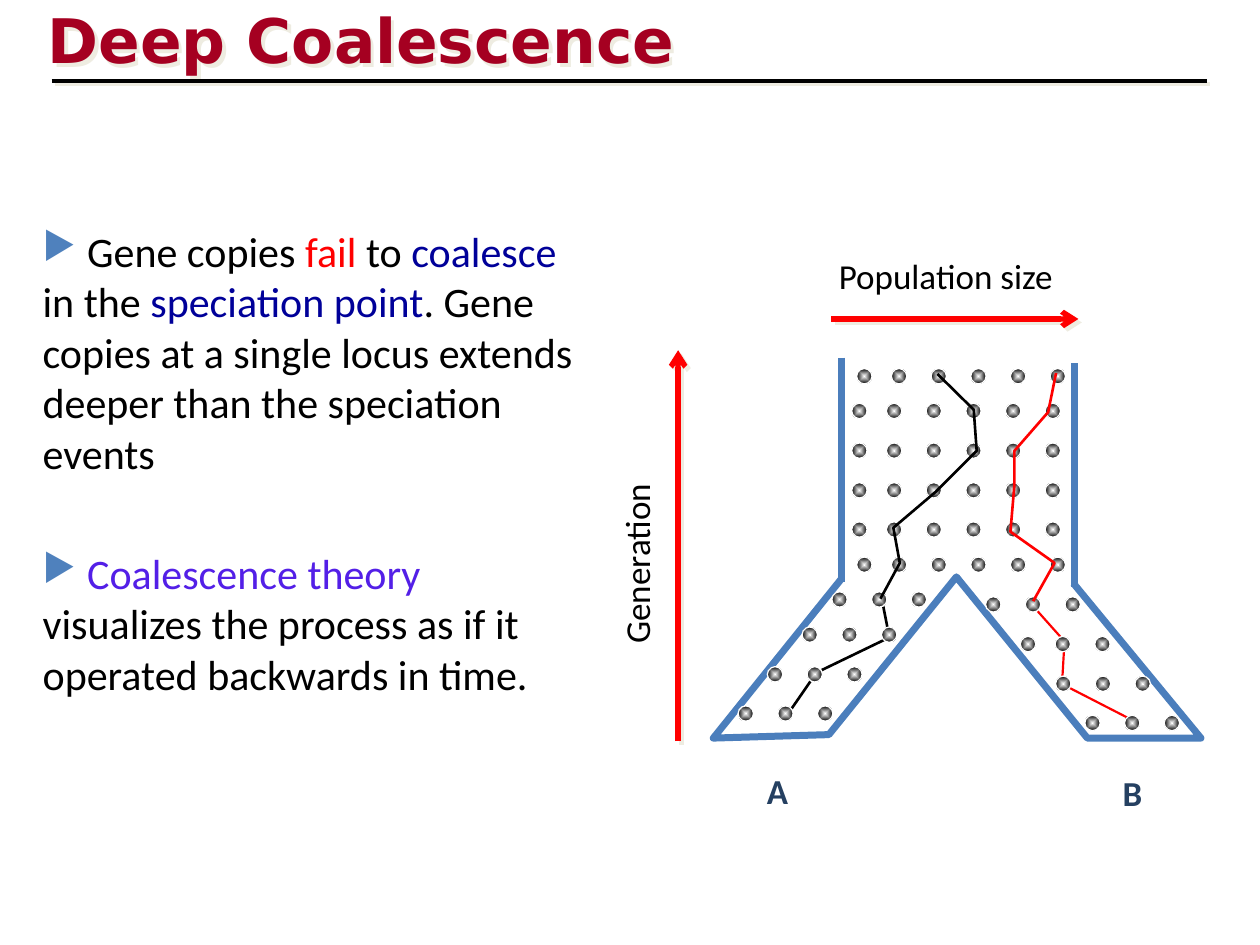
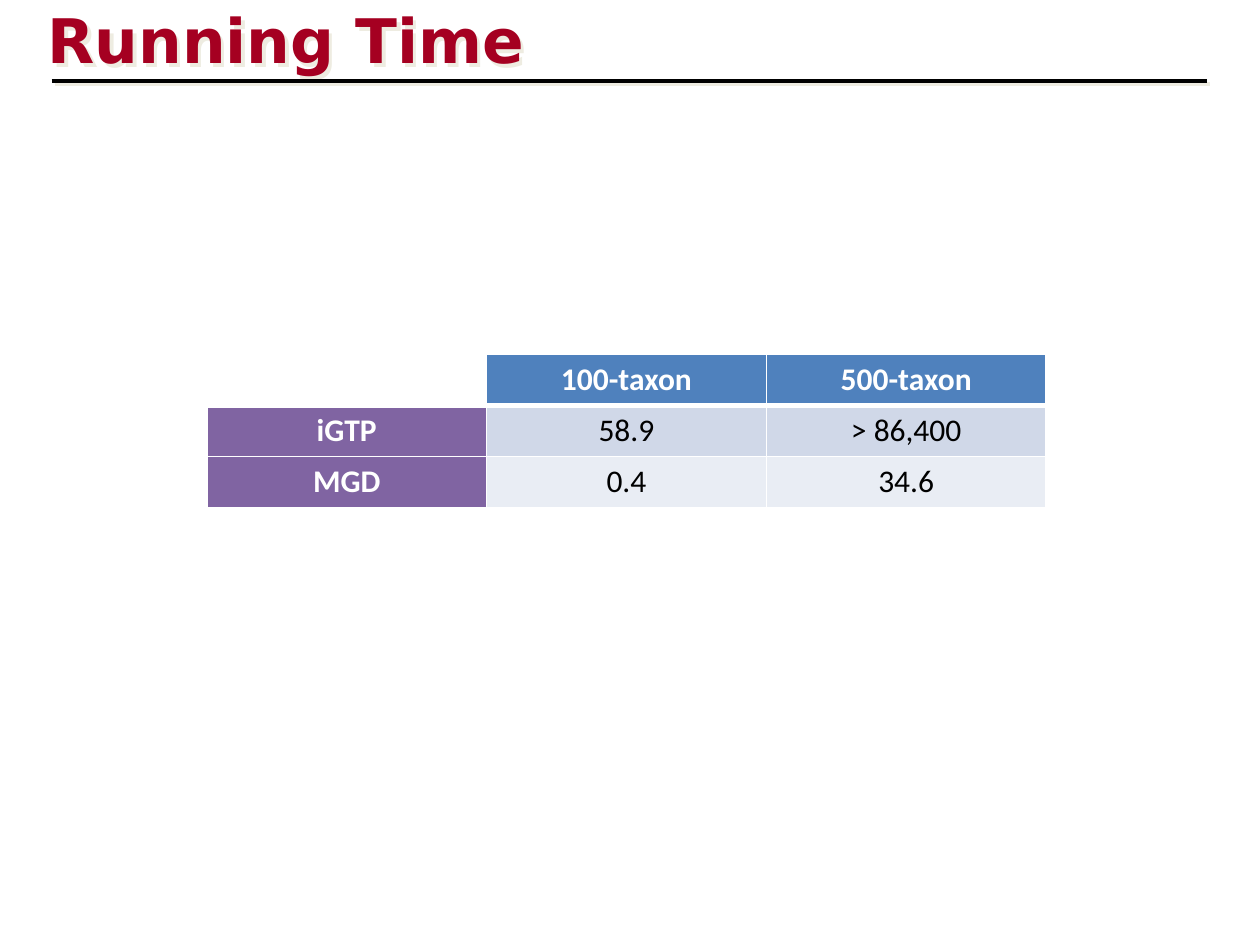
from dataclasses import dataclass
from typing import NamedTuple

import pptx
import pptx.dml.color
import pptx.enum.shapes
import pptx.enum.text
import pptx.oxml
import pptx.oxml.ns
import pptx.util

Cm, Pt = pptx.util.Cm, pptx.util.Pt
Point = tuple[float, float]


@dataclass(frozen=True)
class Theme:
    title: str = "A50021"
    shadow: str = "EEECE1"
    black: str = "000000"
    white: str = "FFFFFF"
    red: str = "FF0000"
    navy: str = "000099"
    violet: str = "531FE7"
    wall: str = "4B7EBC"
    species: str = "254061"
    accent: str = "4F81BD"
    row_head: str = "8064A2"
    bands: tuple[str, str] = ("D0D8E8", "E9EDF4")
    body_font: str = "Calibri"
    title_font: str = "DejaVu Sans"
    title_size: float = 35.1
    body_size: float = 24
    label_size: float = 20
    table_size: float = 18


T = Theme()


class Run(NamedTuple):
    text: str
    color: str = T.black


class Label(NamedTuple):
    text: str
    left: float
    top: float
    width: float
    color: str = T.black
    bold: bool = False
    rotation: float = 0


class Stroke(NamedTuple):
    points: list[Point]
    color: str
    width: float


class DotRow(NamedTuple):
    left: float
    top: float
    offsets: tuple[float, ...]


# Shared helpers
def rgb(color: str) -> pptx.dml.color.RGBColor:
    return pptx.dml.color.RGBColor.from_string(color)


def add_xml(parent, xml: str) -> None:
    """Append one element of the drawing namespace, written with prefix a."""
    tag, rest = xml[1:].split(">", 1) if "/>" not in xml.split(">")[0] + ">" else (xml[1:-2], None)
    head = f"<{tag} {pptx.oxml.ns.nsdecls('a')}"
    parent.append(pptx.oxml.parse_xml(f"{head}/>" if rest is None else f"{head}>{rest}"))


def solid(color: str) -> str:
    return f'<a:solidFill><a:srgbClr val="{color}"/></a:solidFill>'


def set_shadow(sp, shown: bool) -> None:
    """Give the shape the soft offset shadow, or none at all."""
    outer = (f'<a:outerShdw dist="35921" dir="2700000" algn="ctr" rotWithShape="0">'
             f'<a:srgbClr val="{T.shadow}"/></a:outerShdw>') if shown else ""
    add_xml(sp._element.spPr, f"<a:effectLst>{outer}</a:effectLst>")


def set_line(sp, color: str, width: float) -> None:
    sp.line.color.rgb = rgb(color)
    sp.line.width = Pt(width)


def add_run(p, text: str, color: str, size: float, bold: bool = False,
            font: str = T.body_font) -> None:
    r = p.add_run()
    r.text = text
    for name, value in {"name": font, "size": Pt(size), "bold": bold}.items():
        setattr(r.font, name, value)
    r.font.color.rgb = rgb(color)


def add_box(s, left: float, top: float, width: float, height: float):
    sp = s.shapes.add_textbox(Cm(left), Cm(top), Cm(width), Cm(height))
    sp.text_frame.word_wrap = True
    return sp


def add_line(s, start: Point, end: Point, color: str, width: float,
             shadow: bool = False, arrow: bool = False) -> None:
    ends = [Cm(v) for v in (*start, *end)]
    sp = s.shapes.add_connector(pptx.enum.shapes.MSO_CONNECTOR.STRAIGHT, *ends)
    set_line(sp, color, width)
    if arrow:
        add_xml(sp.line._get_or_add_ln(), '<a:tailEnd type="arrow"/>')
    set_shadow(sp, shadow)


def add_titled_slide(prs, title: str):
    s = prs.slides.add_slide(prs.slide_layouts[6])
    sp = add_box(s, 0.71, -0.08, 21.59, 1.7)
    add_run(sp.text_frame.paragraphs[0], title, T.title, T.title_size, True, T.title_font)
    set_shadow(sp, True)
    add_line(s, (1.04, 1.63), (24.33, 1.63), T.black, 2.25, shadow=True)
    return s


# Deep coalescence: data in centimetres
DOT = 0.31
WIDE = (0, 0.7, 1.5, 2.3, 3.1, 3.9)
EVEN = (0, 0.8, 1.6)
DOT_ROWS = [
    # Ancestral population
    DotRow(17.27, 7.43, WIDE), DotRow(17.17, 8.13, WIDE), DotRow(17.17, 8.93, WIDE),
    DotRow(17.17, 9.73, WIDE), DotRow(17.17, 10.52, WIDE), DotRow(17.27, 11.23, WIDE),
    # Branch A
    DotRow(16.77, 11.93, EVEN), DotRow(16.17, 12.64, EVEN),
    DotRow(15.47, 13.44, EVEN), DotRow(14.88, 14.23, EVEN),
    # Branch B
    DotRow(19.87, 12.03, EVEN), DotRow(20.57, 12.83, WIDE[:3]),
    DotRow(21.28, 13.63, EVEN), DotRow(21.87, 14.42, EVEN),
]
BRANCH_STROKES = [
    Stroke([(22.89, 14.55), (21.41, 13.79), (21.46, 12.93), (20.8, 12.19)], T.red, 1.25),
    Stroke([(15.88, 14.4), (16.46, 13.56), (17.93, 12.85), (17.78, 12.09)], T.black, 1.5),
    Stroke([(16.97, 11.66), (14.38, 14.88), (16.71, 14.81), (19.28, 11.63),
            (21.92, 14.88), (24.21, 14.88), (21.64, 11.76)], T.wall, 4),
]
TRUNK_STROKES = [
    Stroke([(17.75, 12.07), (18.14, 11.35), (18.01, 10.64), (18.87, 9.91),
            (19.69, 9.09), (19.63, 8.26), (18.9, 7.54)], T.black, 1.5),
    Stroke([(20.83, 12.12), (21.26, 11.35), (20.37, 10.72), (20.45, 9.78),
            (20.45, 9.09), (21.13, 8.31), (21.29, 7.52)], T.red, 1.5),
]
TRUNK_WALLS = [((16.97, 7.21), (16.97, 11.73)), ((21.67, 7.32), (21.67, 11.84))]
AXES = [((13.67, 14.94), (13.67, 7.06)), ((16.76, 6.43), (21.74, 6.43))]
LABELS = [
    Label("Population size", 16.66, 5, 6.2),
    Label("Generation", 10.74, 10.57, 4.19, rotation=270),
    Label("A", 15.21, 15.39, 1.07, T.species, True),
    Label("B", 22.38, 15.42, 1.07, T.species, True),
]
BULLETS = [
    (6, [Run(" Gene copies "), Run("fail", T.red), Run(" to "), Run("coalesce", T.navy),
         Run(" in the "), Run("speciation point", T.navy),
         Run(". Gene copies at a single locus extends deeper than the speciation events")]),
    (40, [Run(" Coalescence theory ", T.violet),
          Run("visualizes the process as if it operated backwards in time.")]),
]


def add_stroke(s, stroke: Stroke) -> None:
    points = [(Cm(x), Cm(y)) for x, y in stroke.points]
    builder = s.shapes.build_freeform(*points[0])
    builder.add_line_segments(points[1:], close=False)
    sp = builder.convert_to_shape()
    sp.fill.background()
    set_line(sp, stroke.color, stroke.width)
    sp.shadow.inherit = False


def add_dot_row(s, row: DotRow) -> None:
    for offset in row.offsets:
        sp = s.shapes.add_shape(pptx.enum.shapes.MSO_SHAPE.OVAL, Cm(row.left + offset),
                                Cm(row.top), Cm(DOT), Cm(DOT))
        sp.fill.gradient()
        for stop, color in zip(sp.fill.gradient_stops, (T.white, T.black)):
            stop.color.rgb = rgb(color)
        grad = sp._element.spPr.find(pptx.oxml.ns.qn("a:gradFill"))
        grad.remove(grad.find(pptx.oxml.ns.qn("a:lin")))
        add_xml(grad, '<a:path path="shape"><a:fillToRect l="50000" t="50000" '
                      'r="50000" b="50000"/></a:path>')
        set_line(sp, T.white, 0.75)
        sp.shadow.inherit = False


def add_label(s, label: Label) -> None:
    sp = add_box(s, label.left, label.top, label.width, 1.12)
    sp.rotation = label.rotation
    add_run(sp.text_frame.paragraphs[0], label.text, label.color, T.label_size, label.bold)


def add_bullets(s) -> None:
    tf = add_box(s, 0.61, 4.42, 11.25, 12.19).text_frame
    for i, (space, runs) in enumerate(BULLETS):
        p = tf.add_paragraph() if i else tf.paragraphs[0]
        p.space_before = Pt(space)
        pPr = p._p.get_or_add_pPr()
        add_xml(pPr, f'<a:buClr><a:srgbClr val="{T.accent}"/></a:buClr>')
        add_xml(pPr, '<a:buSzPct val="90000"/>')
        add_xml(pPr, '<a:buChar char="▶"/>')
        for run in runs:
            add_run(p, run.text, run.color, T.body_size)


def build_coalescence(prs) -> None:
    s = add_titled_slide(prs, "Deep Coalescence")
    add_bullets(s)
    for start, end in TRUNK_WALLS:
        add_line(s, start, end, T.wall, 4)
    for stroke in BRANCH_STROKES:
        add_stroke(s, stroke)
    for row in DOT_ROWS:
        add_dot_row(s, row)
    for stroke in TRUNK_STROKES:
        add_stroke(s, stroke)
    for start, end in AXES:
        add_line(s, start, end, T.red, 3, shadow=True, arrow=True)
    for label in LABELS:
        add_label(s, label)


# Running time
TIMES = [
    ("", "100-taxon", "500-taxon"),
    ("iGTP", "58.9", "> 86,400"),
    ("MGD", "0.4", "34.6"),
]
COL_WIDTH, ROW_HEIGHT = 5.64, 1.03


def format_cell(cell, text: str, row: int, col: int) -> None:
    for side in "LRTB":
        heavy = (side == "B" and row == 0) or (side == "T" and row == 1)
        add_xml(cell._tc.get_or_add_tcPr(),
                f'<a:ln{side} w="{Pt(3 if heavy else 1)}">{solid(T.white)}</a:ln{side}>')
    if not text:
        cell.fill.background()
        return
    header = row == 0 or col == 0
    cell.fill.solid()
    cell.fill.fore_color.rgb = rgb(
        T.accent if row == 0 else T.row_head if col == 0 else T.bands[row - 1])
    p = cell.text_frame.paragraphs[0]
    p.alignment = pptx.enum.text.PP_ALIGN.CENTER
    add_run(p, text, T.white if header else T.black, T.table_size, header)


def build_running_time(prs) -> None:
    s = add_titled_slide(prs, "Running Time")
    rows, cols = len(TIMES), len(TIMES[0])
    table = s.shapes.add_table(rows, cols, Cm(4.17), Cm(7.14),
                               Cm(COL_WIDTH * cols), Cm(ROW_HEIGHT * rows)).table
    table.first_row = table.horz_banding = False
    for i, texts in enumerate(TIMES):
        for j, text in enumerate(texts):
            format_cell(table.cell(i, j), text, i, j)


def main() -> None:
    prs = pptx.Presentation()
    prs.slide_width, prs.slide_height = Cm(25.4), Cm(19.05)
    build_coalescence(prs)
    build_running_time(prs)
    prs.save("out.pptx")


if __name__ == "__main__":
    main()
